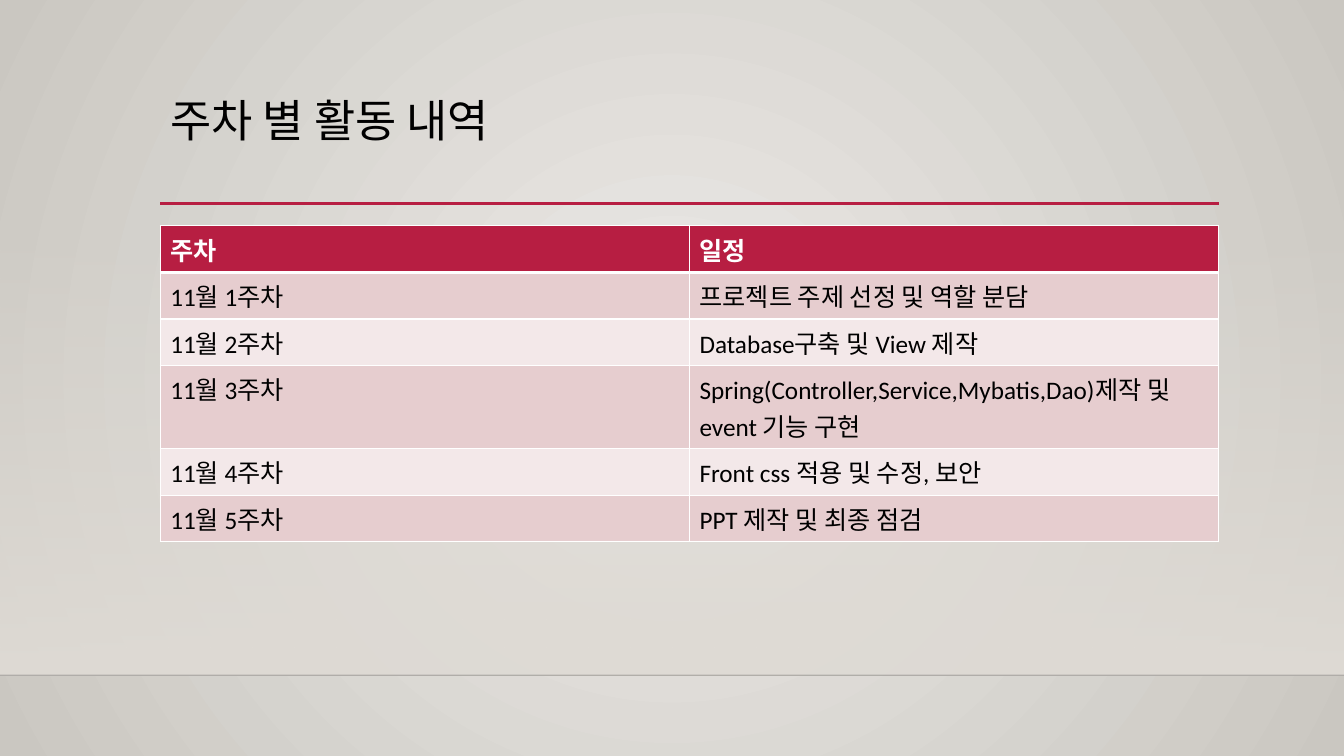
import pptx
import pptx.dml.color
import pptx.enum.shapes
import pptx.enum.text
import pptx.oxml
import pptx.oxml.ns
import pptx.util
from lxml import etree

Pt = pptx.util.Pt
qn = pptx.oxml.ns.qn
CRIMSON, WHITE, BLACK = "B71E42", "FFFFFF", "000000"
BAND_COLORS = ["E6CDCF", "F3E8E9"]
SCHEDULE = [
    ("주차", "일정"),
    ("11월 1주차", "프로젝트 주제 선정 및 역할 분담"),
    ("11월 2주차", "Database구축 및 View 제작"),
    ("11월 3주차", "Spring(Controller,Service,Mybatis,Dao)제작 및 event 기능 구현"),
    ("11월 4주차", "Front css 적용 및 수정, 보안"),
    ("11월 5주차", "PPT 제작 및 최종 점검"),
]


def color(hex_string):
    return pptx.dml.color.RGBColor.from_string(hex_string)


def set_alpha(color_element, percent):
    etree.SubElement(color_element, qn("a:alpha"), val=str(percent * 1000))


presentation = pptx.Presentation()
presentation.slide_width, presentation.slide_height = Pt(960), Pt(540)
slide = presentation.slides.add_slide(presentation.slide_layouts[5])

# Background: radial gradient from the centre
background = slide.background.fill
background.gradient()
for stop, shade in zip(background.gradient_stops, ["ECEAE7", "CAC7C1"]):
    stop.color.rgb = color(shade)
linear = slide._element.find(".//" + qn("a:lin"))
radial = pptx.oxml.parse_xml(
    f'<a:path {pptx.oxml.ns.nsdecls("a")} path="circle">'
    '<a:fillToRect l="50000" t="50000" r="50000" b="50000"/></a:path>'
)
linear.getparent().replace(linear, radial)

# Wall: fades in towards the floor line
wall = slide.shapes.add_shape(
    pptx.enum.shapes.MSO_SHAPE.RECTANGLE, 0, Pt(159), Pt(960), Pt(323.3)
)
wall.shadow.inherit = False
wall.line.fill.background()
wall.fill.gradient()
wall.fill.gradient_angle = 270
for stop in wall.fill.gradient_stops:
    stop.color.rgb = color("DFDBD5")
set_alpha(wall._element.find(".//" + qn("a:srgbClr")), 0)

# Floor line and title rule
for left, right, top, line_color, width, opacity in [
    (0, 960, 482.3, "000001", 1, 20),
    (114.5, 871, 145.3, CRIMSON, 2.5, 100),
]:
    line = slide.shapes.add_connector(
        pptx.enum.shapes.MSO_CONNECTOR.STRAIGHT, Pt(left), Pt(top), Pt(right), Pt(top)
    )
    line.line.color.rgb = color(line_color)
    line.line.width = Pt(width)
    set_alpha(line._element.find(".//" + qn("a:srgbClr")), opacity)
    etree.SubElement(line._element.spPr, qn("a:effectLst"))

title = slide.shapes.title
title.left, title.top, title.width, title.height = Pt(114.5), Pt(63.4), Pt(756), Pt(48.2)
title.text_frame.text = "주차 별 활동 내역"
title.text_frame.auto_size = pptx.enum.text.MSO_AUTO_SIZE.NONE
title.text_frame.vertical_anchor = pptx.enum.text.MSO_ANCHOR.MIDDLE
paragraph = title.text_frame.paragraphs[0]
paragraph.alignment = pptx.enum.text.PP_ALIGN.LEFT
paragraph.line_spacing = 0.9
paragraph.font.name = "Calibri"
paragraph.font.size = Pt(32)
paragraph.font.color.rgb = color(BLACK)

# Weekly schedule
table = slide.shapes.add_table(
    len(SCHEDULE), 2, Pt(114.5), Pt(161.3), Pt(756), Pt(29.2 * len(SCHEDULE))
).table
for row_index, row_texts in enumerate(SCHEDULE):
    is_header = row_index == 0
    for column_index, text in enumerate(row_texts):
        cell = table.cell(row_index, column_index)
        cell.text = text
        paragraph = cell.text_frame.paragraphs[0]
        paragraph.font.name = "Calibri"
        paragraph.font.size = Pt(18)
        paragraph.font.bold = is_header
        paragraph.font.color.rgb = color(WHITE if is_header else BLACK)
        properties = cell._tc.get_or_add_tcPr()
        for side in ["lnL", "lnR", "lnT", "lnB"]:
            thick = (is_header and side == "lnB") or (row_index == 1 and side == "lnT")
            border = etree.SubElement(
                properties, qn(f"a:{side}"), w=str(Pt(3 if thick else 1))
            )
            border_fill = etree.SubElement(border, qn("a:solidFill"))
            etree.SubElement(border_fill, qn("a:srgbClr"), val=WHITE)
        cell.fill.solid()
        cell.fill.fore_color.rgb = color(
            CRIMSON if is_header else BAND_COLORS[(row_index - 1) % 2]
        )

presentation.save("out.pptx")
